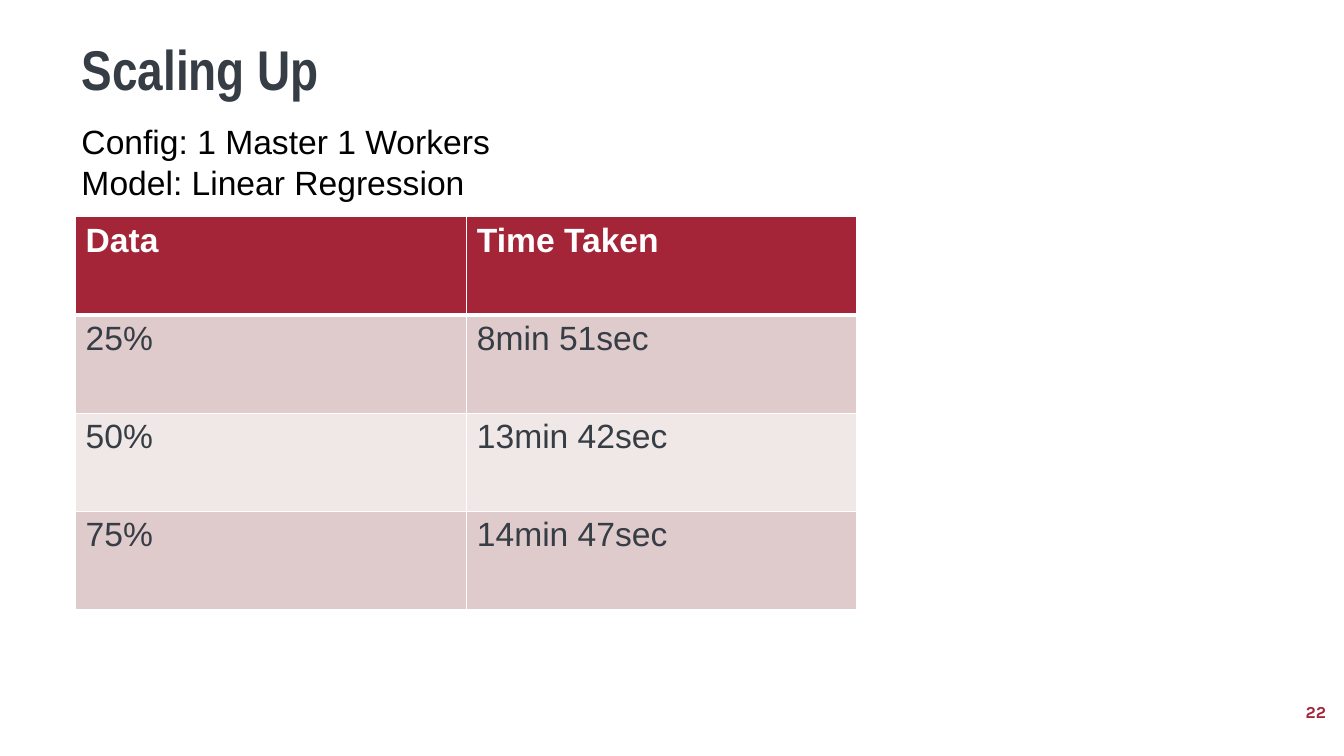
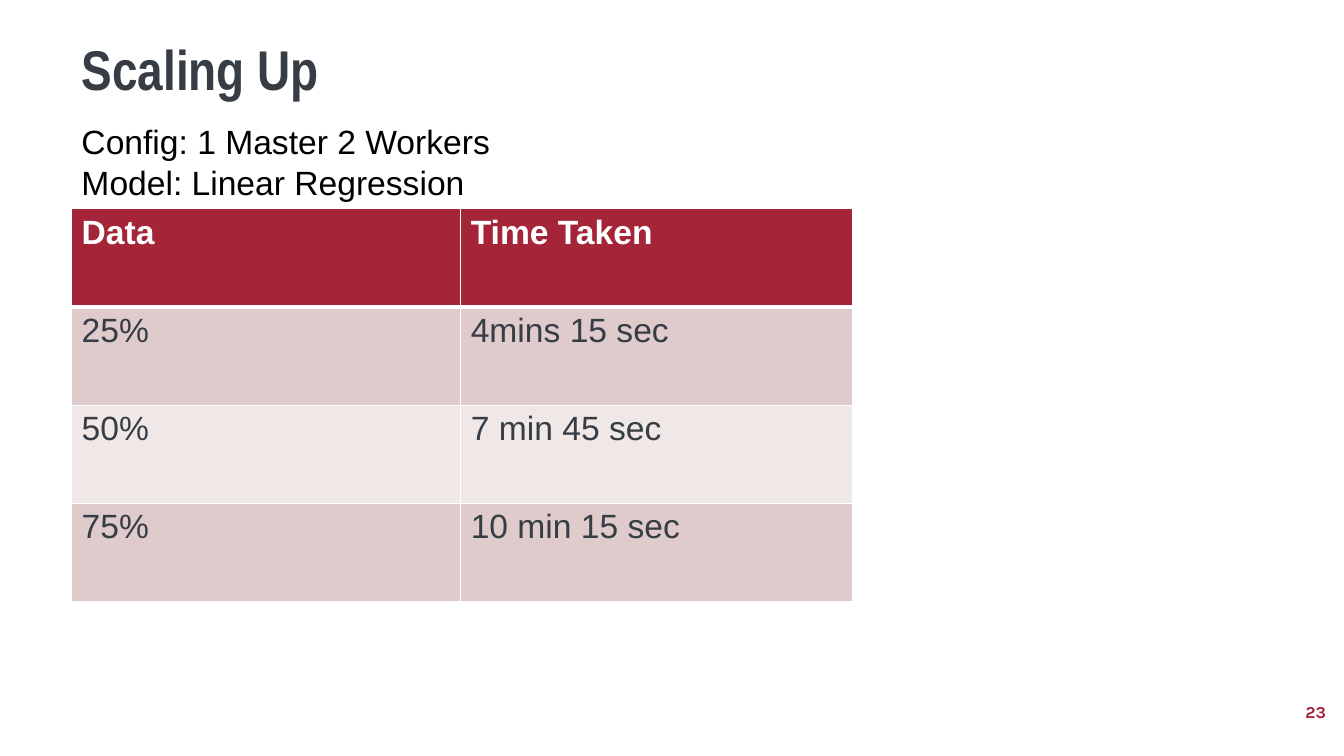
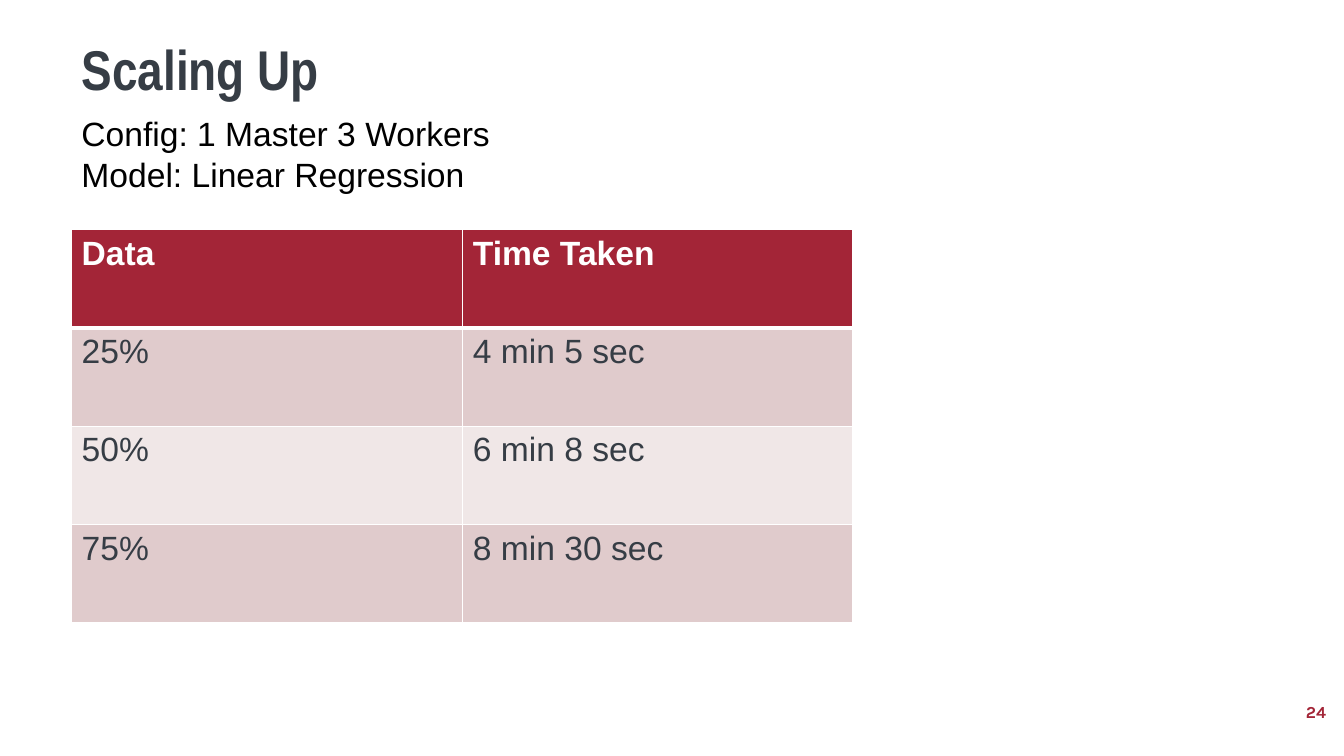
from lxml.etree import SubElement
from pptx import Presentation
from pptx.dml.color import RGBColor
from pptx.enum.text import MSO_ANCHOR, MSO_AUTO_SIZE, PP_ALIGN
from pptx.oxml.ns import qn
from pptx.util import Emu, Pt

PX = 9144  # 100 px to the inch
TITLE = "Scaling Up"
MODEL = "Model: Linear Regression"
HEADER = ("Data", "Time Taken")
SHARES = ("25%", "50%", "75%")
FIRST_PAGE = 22
RUNS = [
    {"config": "Config: 1 Master 1 Workers",
     "times": ("8min 51sec", "13min 42sec", "14min 47sec"),
     "config_box": (71, 115, 482, 91), "table_at": (75, 215), "data_width": 388},
    {"config": "Config: 1 Master 2 Workers",
     "times": ("4mins 15 sec", "7 min 45 sec", "10 min 15 sec"),
     "config_box": (71, 115, 482, 91), "table_at": (71, 207), "data_width": 386},
    {"config": "Config: 1 Master 3 Workers",
     "times": ("4 min 5 sec", "6 min 8 sec", "8 min 30 sec"),
     "config_box": (71, 107, 526, 131), "table_at": (71, 228), "data_width": 388},
]

TITLE_BOX = (71, 37, 1171, 80)
PAGE_BOX = (1025, 686, 300, 40)
TABLE_SIZE = (775, 390)
RED, SLATE, BLACK, WHITE = "A32537", "363D45", "000000", "FFFFFF"
BANDS = ("E0CBCC", "F0E7E7")


def px(*lengths):
    return [Emu(length * PX) for length in lengths]


def color(value):
    return RGBColor.from_string(value)


def style(frame, font, size, ink, bold=False):
    for paragraph in frame.paragraphs:
        for run in paragraph.runs:
            run.font.name = font
            run.font.size = Pt(size)
            run.font.bold = bold
            run.font.color.rgb = color(ink)


def add_title(slide):
    title = slide.shapes.title
    title.left, title.top, title.width, title.height = px(*TITLE_BOX)
    frame = title.text_frame
    frame.text = TITLE
    frame.word_wrap = True
    frame.auto_size = MSO_AUTO_SIZE.NONE
    frame.vertical_anchor = MSO_ANCHOR.TOP
    frame.paragraphs[0].alignment = PP_ALIGN.LEFT
    frame.paragraphs[0].line_spacing = 0.9
    style(frame, "Arial Narrow", 40, SLATE, bold=True)


def add_text(slide, box, text):
    frame = slide.shapes.add_textbox(*px(*box)).text_frame
    frame.word_wrap = True
    frame.text = text
    return frame


def add_page_number(slide, number):
    frame = add_text(slide, PAGE_BOX, str(number))
    frame.vertical_anchor = MSO_ANCHOR.MIDDLE
    frame.paragraphs[0].alignment = PP_ALIGN.RIGHT
    style(frame, "Karla", 12, RED, bold=True)


def add_config(slide, box, config):
    frame = add_text(slide, box, f"{config}\n{MODEL}")
    for paragraph in frame.paragraphs:
        paragraph.line_spacing = Pt(29)
    style(frame, "Arial", 24, BLACK)


def add_borders(cell, row):
    """White hairlines, with a thicker rule between header and body."""
    properties = cell._tc.get_or_add_tcPr()
    widths = {"L": 1, "R": 1, "T": 3 if row == 1 else 1, "B": 3 if row == 0 else 1}
    for side, width in widths.items():
        line = SubElement(properties, qn(f"a:ln{side}"), w=str(Pt(width)))
        fill = SubElement(line, qn("a:solidFill"))
        SubElement(fill, qn("a:srgbClr"), val=WHITE)


def add_timings(slide, position, data_width, times):
    rows = [HEADER, *zip(SHARES, times)]
    table = slide.shapes.add_table(
        len(rows), len(HEADER), *px(*position, *TABLE_SIZE)).table
    widths = px(data_width, TABLE_SIZE[0] - data_width)
    for column, width in zip(table.columns, widths):
        column.width = width
    for row, values in enumerate(rows):
        is_header = row == 0
        for column, value in enumerate(values):
            cell = table.cell(row, column)
            cell.text = value
            add_borders(cell, row)
            cell.fill.solid()
            cell.fill.fore_color.rgb = color(RED if is_header else BANDS[(row - 1) % 2])
            style(cell.text_frame, "Arial", 24, WHITE if is_header else SLATE, is_header)


def main():
    deck = Presentation()
    deck.slide_width, deck.slide_height = px(1333, 750)
    title_only = deck.slide_layouts[5]
    for number, run in enumerate(RUNS, FIRST_PAGE):
        slide = deck.slides.add_slide(title_only)
        add_title(slide)
        add_page_number(slide, number)
        add_timings(slide, run["table_at"], run["data_width"], run["times"])
        add_config(slide, run["config_box"], run["config"])
    deck.save("out.pptx")


if __name__ == "__main__":
    main()
